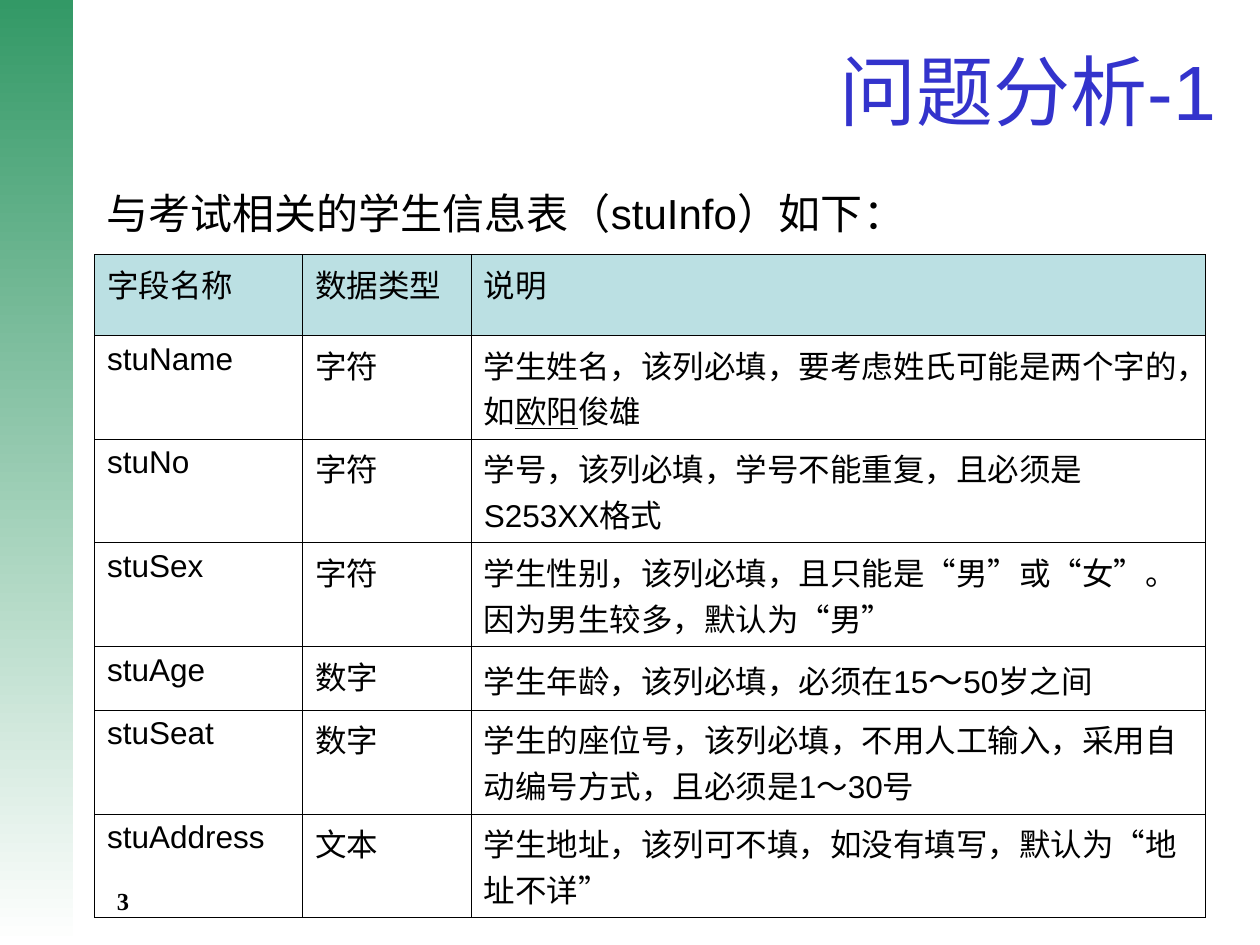
from lxml import etree
from pptx import Presentation
from pptx import util as u
from pptx.dml.color import RGBColor
from pptx.enum import shapes, text
from pptx.oxml import parse_xml
from pptx.oxml.ns import qn

BLACK = RGBColor(0, 0, 0)
WHITE = RGBColor(0xFF, 0xFF, 0xFF)
GREEN = RGBColor(0x33, 0x99, 0x66)
BLUE = RGBColor(0x33, 0x33, 0xCC)
TEAL = RGBColor(0xBB, 0xE0, 0xE3)
SANS, LATIN, SERIF = "Noto Sans CJK SC", "Arial", "Times New Roman"
NS = "http://schemas.openxmlformats.org/drawingml/2006/main"

TITLE = ["问题分析-1"]
LEAD = ["与考试相关的学生信息表", "（stuInfo", "）如下："]
PAGE = ["3"]
HEAD = ("字段名称", "数据类型", ["说明"])
FIELDS = [
    ("stuName", "字符", ["学生姓名，该列必填，要考虑姓氏可能是两个字的，如",
                       ("欧阳", {"underline": True}), "俊雄"]),
    ("stuNo", "字符", ["学号，该列必填，学号不能重复，且必须是", "S253XX", "格式"]),
    ("stuSex", "字符", ["学生性别，该列必填，且只能是“男”或“女”。因为男生较多，默认为“男”"]),
    ("stuAge", "数字", ["学生年龄，该列必填，必须在", "15",
                      ("～", {"size": u.Pt(20), "name": LATIN}), "50", "岁之间"]),
    ("stuSeat", "数字", ["学生的座位号，该列必填，不用人工输入，采用自动编号方式，且必须是",
                       "1～30", "号"]),
    ("stuAddress", "文本", ["学生地址，该列可不填，如没有填写，默认为“地址不详”"]),
]
COLS = (1.65, 1.34, 5.83)
ROWS = (0.64, 0.7, 0.7, 0.72, 0.47, 0.71, 0.71)
LEFT = 0.75


def box(*dims):
    return [u.Inches(d) for d in dims]


def write(frame, runs, size, color=BLACK, **more):
    """Add runs to the first paragraph, with Arial where Latin text occurs."""
    para = frame.paragraphs[0]
    for item in runs:
        words, style = item if isinstance(item, tuple) else (item, {})
        run = para.add_run()
        run.text = words
        font = run.font
        font.size = u.Pt(size)
        font.color.rgb = color
        font.name = LATIN if any(c.isascii() for c in words) else SANS
        for key, val in {**more, **style}.items():
            setattr(font, key, val)
        etree.SubElement(run._r.get_or_add_rPr(), qn("a:ea"), typeface=SANS)
    return para


def label(slide, dims, runs, size, **more):
    frame = slide.shapes.add_textbox(*box(*dims)).text_frame
    frame.word_wrap = True
    write(frame, runs, size, **more)


def edge(cell):
    props = cell._tc.get_or_add_tcPr()
    for i, side in enumerate(("lnL", "lnR", "lnT", "lnB")):
        props.insert(i, parse_xml(
            f'<a:{side} xmlns:a="{NS}" w="{u.Pt(0.45)}"><a:solidFill>'
            f'<a:srgbClr val="{BLACK}"/></a:solidFill></a:{side}>'))


def grid(slide):
    dims = box(LEFT, 2.02, sum(COLS), sum(ROWS))
    table = slide.shapes.add_table(len(ROWS), len(COLS), *dims).table
    table.first_row = table.horz_banding = False
    for col, wide in zip(table.columns, COLS):
        col.width = u.Inches(wide)
    for r, (row, high, data) in enumerate(zip(table.rows, ROWS, [HEAD] + FIELDS)):
        row.height = u.Inches(high)
        for cell, runs in zip(row.cells, data):
            write(cell.text_frame, [runs] if isinstance(runs, str) else runs, 18)
            if r == 0:
                cell.fill.solid()
                cell.fill.fore_color.rgb = TEAL
            else:
                cell.fill.background()
            edge(cell)


def main():
    deck = Presentation()
    deck.slide_width, deck.slide_height = box(10, 7.5)
    slide = deck.slides.add_slide(deck.slide_layouts[5])

    band = slide.shapes.add_shape(shapes.MSO_SHAPE.RECTANGLE, *box(0, 0, 0.58, 7.5))
    band.shadow.inherit = False
    band.line.fill.background()
    band.fill.gradient()
    band.fill.gradient_angle = 270
    for stop, color in zip(band.fill.gradient_stops, (GREEN, WHITE)):
        stop.color.rgb = color

    title = slide.shapes.title
    title.left, title.top, title.width, title.height = box(LEFT, 0.28, 9, 0.87)
    title.text_frame.vertical_anchor = text.MSO_ANCHOR.MIDDLE
    write(title.text_frame, TITLE, 44, BLUE).alignment = text.PP_ALIGN.RIGHT

    grid(slide)
    label(slide, (LEFT, 1.44, 7.95, 0.5), LEAD, 24)
    label(slide, (0.83, 6.98, 2.33, 0.24), PAGE, 14, name=SERIF, bold=True)
    deck.save("out.pptx")


if __name__ == "__main__":
    main()
